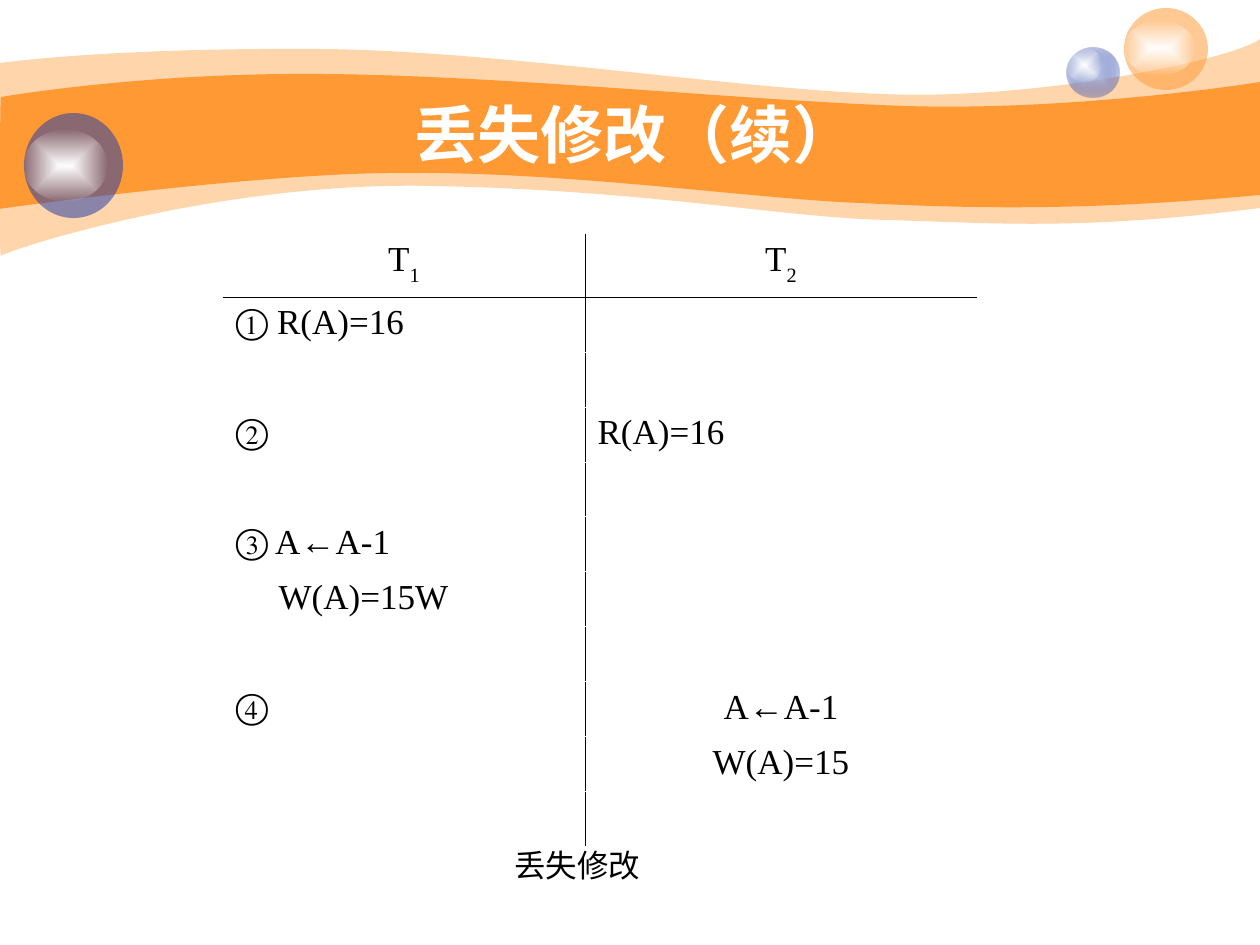
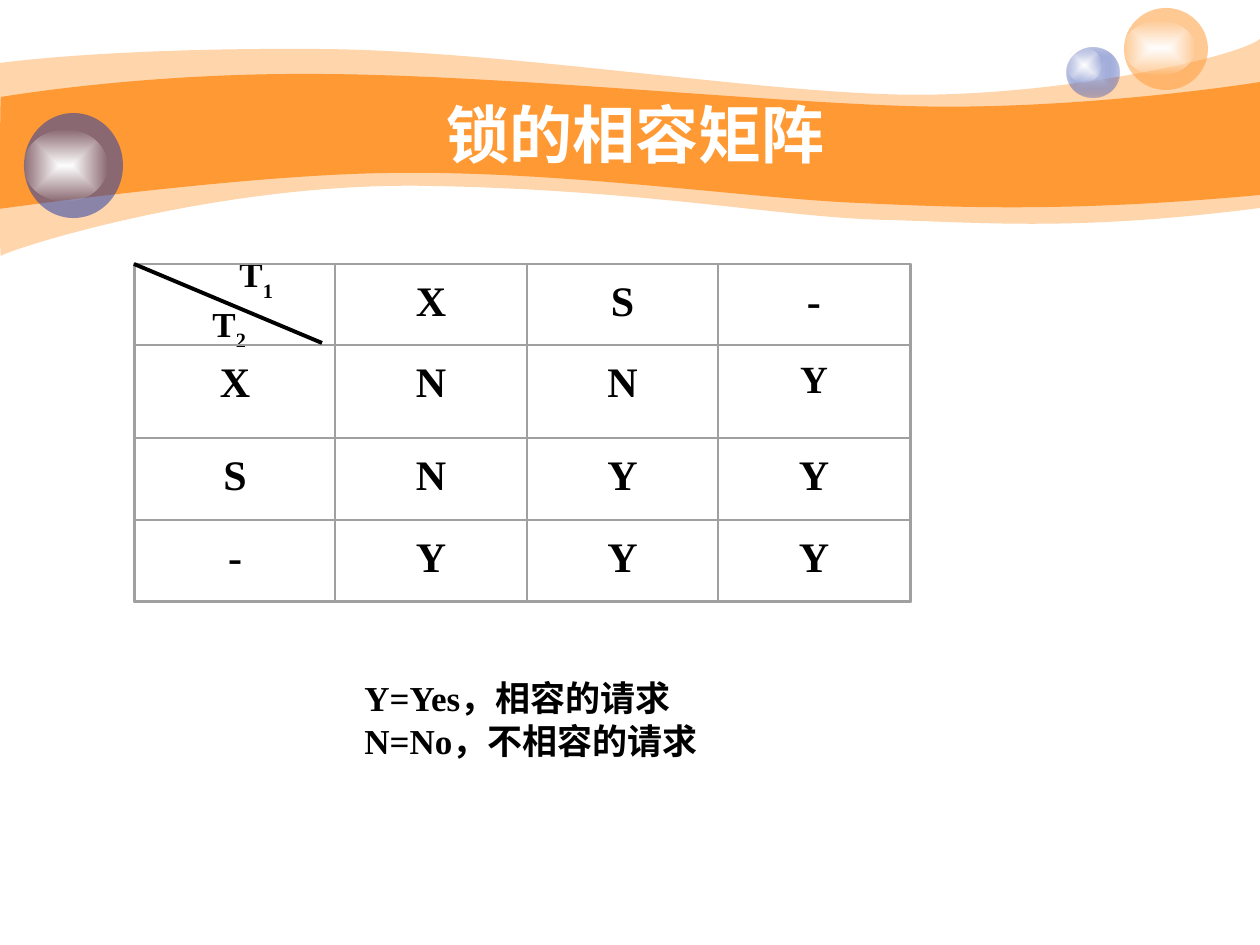
from dataclasses import dataclass
from itertools import accumulate

from lxml import etree
from pptx import Presentation
from pptx.dml.color import RGBColor
from pptx.enum.shapes import MSO_CONNECTOR, MSO_SHAPE
from pptx.enum.text import MSO_ANCHOR, MSO_AUTO_SIZE, PP_ALIGN
from pptx.oxml import parse_xml
from pptx.oxml.ns import nsdecls, qn
from pptx.util import Emu, Pt

LEFT, CENTER = PP_ALIGN.LEFT, PP_ALIGN.CENTER
MIDDLE = MSO_ANCHOR.MIDDLE
NO_AUTOFIT = MSO_AUTO_SIZE.NONE
ELLIPSE, RECTANGLE = MSO_SHAPE.OVAL, MSO_SHAPE.RECTANGLE
STRAIGHT = MSO_CONNECTOR.STRAIGHT

PX_PER_INCH = 126
TITLE_ONLY = 5


@dataclass(frozen=True)
class Theme:
    orange: str = "FF9933"
    blue: str = "233DA9"
    pale_blue: str = "C7CEE9"
    white: str = "FFFFFF"
    ink: str = "000000"
    grid: str = "A0A0A0"
    heading_font: str = "Arial"
    body_font: str = "Times New Roman"
    title_size: int = 36
    matrix_size: int = 24
    small_matrix_size: int = 22
    body_size: int = 20
    caption_size: int = 18
    hairline: float = 0
    thin: float = 0.45
    frame: float = 0.88
    heavy: float = 2.25


THEME = Theme()

# Each step is one point (straight) or three points (cubic curve).
LIGHT_WAVE = [
    [(0, 63)],
    [(30, 59), (135, 48), (311, 49)],
    [(486, 49), (724, 88), (881, 94)],
    [(1036, 101), (1235, 59), (1260, 39)],
    [(1260, 208)],
    [(1081, 231), (992, 223), (888, 220)],
    [(784, 218), (649, 190), (432, 186)],
    [(217, 181), (5, 251), (1, 256)],
    [(-1, 262), (0, 94), (0, 63)],
]
SOLID_WAVE = [
    [(1, 97)],
    [(2, 97), (139, 73), (312, 74)],
    [(486, 74), (750, 101), (905, 106)],
    [(1060, 111), (1230, 87), (1260, 82)],
    [(1260, 195)],
    [(1075, 212), (964, 208), (859, 203)],
    [(755, 199), (563, 171), (399, 173)],
    [(256, 173), (-2, 209), (-1, 209)],
    [(0, 209), (0, 97), (1, 97)],
]

SCHEDULE = [
    ("T_1", "T_2"),
    ("① R(A)=16", ""),
    ("", ""),
    ("②", "R(A)=16"),
    ("", ""),
    ("③ A←A-1", ""),
    ("W(A)=15W", ""),
    ("", ""),
    ("④", "A←A-1"),
    ("", "W(A)=15"),
    ("", ""),
]
LOCK_MATRIX = [
    ("", "X", "S", "-"),
    ("X", "N", "N", "Y"),
    ("S", "N", "Y", "Y"),
    ("-", "Y", "Y", "Y"),
]
MATRIX_LEFT, MATRIX_TOP = 135, 264
MATRIX_WIDTHS = (200, 192, 191, 192)
MATRIX_HEIGHTS = (81, 93, 82, 81)
MATRIX_GAP = 20


def px(length):
    return Emu(round(length * 914400 / PX_PER_INCH))


def curve_outline(shape, steps):
    """Join the outline points of every three-point step into one cubic curve."""
    outline = next(shape.element.iter(qn("a:path")))
    segments = iter(outline.findall(qn("a:lnTo")))
    for step in steps[1:]:
        first, *others = [next(segments) for _ in step]
        if others:
            curve = etree.Element(qn("a:cubicBezTo"))
            outline.replace(first, curve)
            curve.append(first[0])
            for segment in others:
                curve.append(segment[0])
                outline.remove(segment)


def color_xml(color, alpha=100):
    return f'<a:srgbClr val="{color}"><a:alpha val="{alpha * 1000}"/></a:srgbClr>'


def paint(shape, *stops):
    """Fill with one (color, alpha) stop, or with a gradient from the centre to the edge."""
    shape.shadow.inherit = False
    shape.line.fill.background()
    shape.fill.background()
    if len(stops) == 1:
        fill = f'<a:solidFill {nsdecls("a")}>{color_xml(*stops[0])}</a:solidFill>'
    else:
        inner, outer = (color_xml(*stop) for stop in stops)
        fill = (f'<a:gradFill {nsdecls("a")} rotWithShape="1"><a:gsLst>'
                f'<a:gs pos="0">{inner}</a:gs><a:gs pos="100000">{outer}</a:gs></a:gsLst>'
                '<a:path path="rect"><a:fillToRect l="50000" t="50000" r="50000" b="50000"/>'
                '</a:path></a:gradFill>')
    properties = shape.element.spPr
    properties.replace(properties.find(qn("a:noFill")), parse_xml(fill))


def write(frame, text, size=THEME.body_size, color=THEME.ink, font=THEME.body_font,
          bold=False, align=LEFT, indents=()):
    """Write one paragraph per line; the part after an underscore is a subscript."""
    for index, line in enumerate(text.split("\n")):
        paragraph = frame.paragraphs[0] if index == 0 else frame.add_paragraph()
        paragraph.alignment = align
        if index < len(indents):
            paragraph._p.get_or_add_pPr().set("marL", str(px(indents[index])))
        for part, piece in enumerate(line.split("_")):
            run = paragraph.add_run()
            run.text = piece
            run.font.size = Pt(size)
            run.font.name = font
            run.font.bold = bold
            run.font.color.rgb = RGBColor.from_string(color)
            if part:
                run._r.get_or_add_rPr().set("baseline", "-30000")


def set_borders(cell, **sides):
    """Give the L, R, T and B sides as colors."""
    cell.fill.background()
    properties = cell._tc.get_or_add_tcPr()
    for index, side in enumerate("LRTB"):
        properties.insert(index, parse_xml(
            f'<a:ln{side} {nsdecls("a")} w="{Pt(THEME.thin)}"><a:solidFill>'
            f'{color_xml(sides[side])}</a:solidFill></a:ln{side}>'))


class Deck:
    def __init__(self, theme):
        self.theme = theme
        self.presentation = Presentation()
        self.presentation.slide_width = px(1260)
        self.presentation.slide_height = px(945)
        self.slide = None

    def add_slide(self, heading):
        layout = self.presentation.slide_layouts[TITLE_ONLY]
        self.slide = self.presentation.slides.add_slide(layout)
        self.add_decoration()
        self.add_title(heading)

    def add_decoration(self):
        t = self.theme
        glow = ((t.white, 100), (t.white, 0))
        self.add_wave(LIGHT_WAVE, 41)
        self.add_wave(SOLID_WAVE, 100)
        self.add_ball(1067, 48, 53, 50, (t.pale_blue, 100), (t.blue, 31))
        self.add_ball(1067, 48, 35, 34, *glow)
        self.add_ball(1124, 8, 84, 82, (t.orange, 53))
        self.add_ball(1124, 21, 71, 54, *glow)
        self.add_ball(24, 113, 99, 105, (t.blue, 53))
        self.add_ball(24, 130, 83, 71, *glow)

    def add_wave(self, steps, alpha):
        start, *rest = [(px(x), px(y)) for step in steps for x, y in step]
        builder = self.slide.shapes.build_freeform(*start, scale=1.0)
        builder.add_line_segments(rest, close=True)
        wave = builder.convert_to_shape()
        curve_outline(wave, steps)
        paint(wave, (self.theme.orange, alpha))

    def add_ball(self, left, top, width, height, *stops):
        ball = self.slide.shapes.add_shape(ELLIPSE, px(left), px(top), px(width), px(height))
        paint(ball, *stops)

    def add_title(self, heading):
        title = self.slide.shapes.title
        title.element.getparent().append(title.element)
        title.left, title.top, title.width, title.height = map(px, (126, 94, 1018, 78))
        frame = title.text_frame
        frame.auto_size = NO_AUTOFIT
        frame.vertical_anchor = MIDDLE
        write(frame, heading, size=self.theme.title_size, color=self.theme.white,
              font=self.theme.heading_font, bold=True, align=CENTER)

    def add_text(self, left, top, width, height, text, wrap=True, inset_top=6, **style):
        box = self.slide.shapes.add_textbox(px(left), px(top), px(width), px(height))
        box.text_frame.word_wrap = wrap
        box.text_frame.margin_top = px(inset_top)
        write(box.text_frame, text, **style)

    def add_frame(self, left, top, width, height, weight):
        frame = self.slide.shapes.add_shape(
            RECTANGLE, px(left), px(top), px(width), px(height))
        frame.shadow.inherit = False
        frame.fill.background()
        frame.line.color.rgb = RGBColor.from_string(self.theme.grid)
        frame.line.width = Pt(weight)

    def add_table(self, left, top, widths, heights, rows, cell_style, cell_borders):
        """cell_style and cell_borders give the format at a row and column."""
        table = self.slide.shapes.add_table(
            len(rows), len(widths), px(left), px(top),
            px(sum(widths)), px(sum(heights))).table
        table.first_row = table.horz_banding = False
        for column, width in zip(table.columns, widths):
            column.width = px(width)
        for r, (values, height) in enumerate(zip(rows, heights)):
            table.rows[r].height = px(height)
            for c, value in enumerate(values):
                cell = table.cell(r, c)
                set_borders(cell, **cell_borders(r, c))
                if value:
                    write(cell.text_frame, value, **cell_style(r, c))

    def add_line(self, x1, y1, x2, y2):
        line = self.slide.shapes.add_connector(STRAIGHT, px(x1), px(y1), px(x2), px(y2))
        line.line.color.rgb = RGBColor.from_string(self.theme.ink)
        line.line.width = Pt(self.theme.heavy)
        etree.SubElement(line.element.spPr, qn("a:effectLst"))


def schedule_style(row, column):
    centered = row == 0 or (column == 1 and row >= 8)
    second_step = SCHEDULE[row][column] == "W(A)=15W"
    return {"align": CENTER if centered else LEFT, "indents": (43,) if second_step else ()}


def schedule_borders(row, column):
    rule, blank = THEME.ink, THEME.white
    return {"L": rule if column == 1 else blank, "R": rule if column == 0 else blank,
            "T": rule if row == 1 else blank, "B": rule if row == 0 else blank}


def add_lost_update(deck):
    deck.add_slide("丢失修改（续）")
    deck.add_table(223, 234, (362, 392), (63,) + (55,) * 10, SCHEDULE,
                   schedule_style, schedule_borders)
    deck.add_text(454, 840, 246, 50, "丢失修改", wrap=False,
                  size=THEME.caption_size, align=CENTER)


def add_matrix_cells(deck):
    lefts = accumulate(MATRIX_WIDTHS, initial=MATRIX_LEFT)
    columns = list(zip(lefts, MATRIX_WIDTHS))
    tops = accumulate(MATRIX_HEIGHTS, initial=MATRIX_TOP)
    for r, (top, height) in enumerate(zip(tops, MATRIX_HEIGHTS)):
        for c, (left, width) in enumerate(columns):
            if LOCK_MATRIX[r][c]:
                size = THEME.small_matrix_size if (r, c) == (1, 3) else THEME.matrix_size
                deck.add_text(left + MATRIX_GAP, top, width - 2 * MATRIX_GAP, height,
                              LOCK_MATRIX[r][c], inset_top=10, size=size,
                              bold=True, align=CENTER)
            deck.add_frame(left, top, width, height, THEME.hairline)


def add_lock_matrix(deck):
    deck.add_slide("锁的相容矩阵")
    deck.add_text(352, 671, 387, 152, "Y=Yes，相容的请求\nN=No，不相容的请求", bold=True)
    deck.add_text(184, 247, 111, 112, "T_1\nT_2", bold=True, indents=(43, 16))
    add_matrix_cells(deck)
    deck.add_frame(134, 264, 777, 338, THEME.frame)
    deck.add_line(134, 264, 322, 343)


def main():
    deck = Deck(THEME)
    add_lost_update(deck)
    add_lock_matrix(deck)
    deck.presentation.save("out.pptx")


if __name__ == "__main__":
    main()
